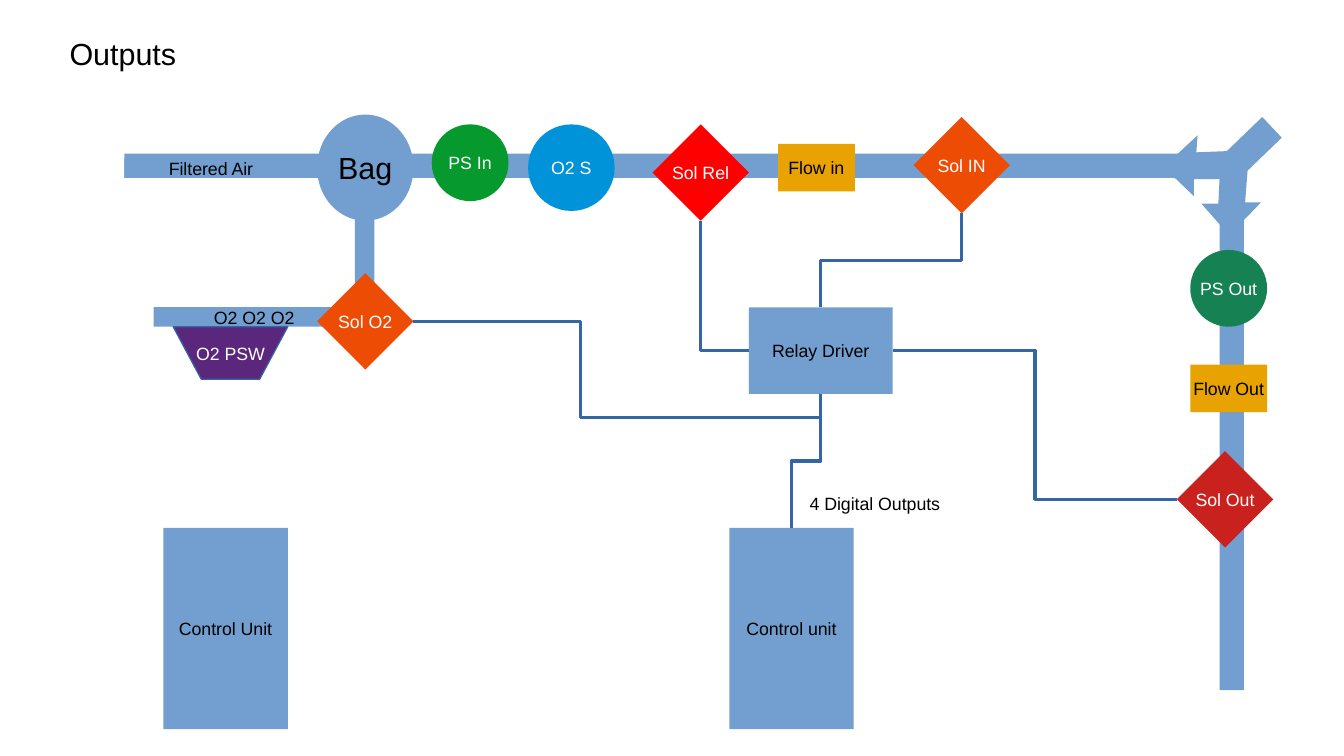
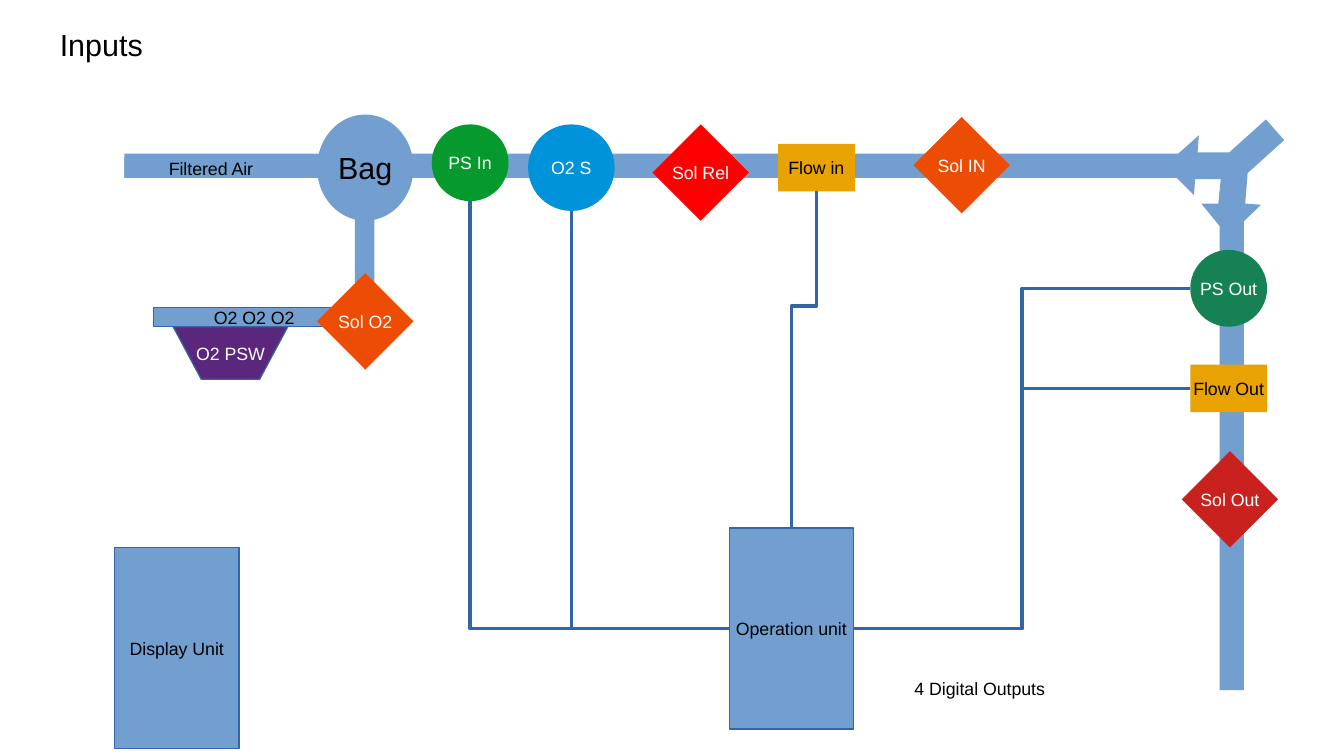
"""Build two slides that show the outputs and the inputs of a ventilator circuit."""
from lxml.etree import SubElement
from pptx import Presentation
from pptx.dml.color import RGBColor
from pptx.enum.shapes import MSO_CONNECTOR, MSO_SHAPE
from pptx.enum.text import MSO_ANCHOR, MSO_AUTO_SIZE, PP_ALIGN
from pptx.oxml.ns import qn
from pptx.util import Inches, Pt

BLUE, LINE, BLACK, WHITE = "729FCF", "3465A4", "000000", "FFFFFF"
ORANGE, AMBER, RED, PURPLE = "ED4C05", "E8A202", "C9211E", "5B277D"
RECTANGLE, DIAMOND, OVAL = MSO_SHAPE.RECTANGLE, MSO_SHAPE.DIAMOND, MSO_SHAPE.OVAL
TOP, LEFT, BOTTOM, RIGHT = range(4)
SITES = [(0.5, 0), (0, 0.5), (0.5, 1), (1, 0.5)]

PIPES = [(1.02, 1.26, 9.13, 0.2), (10, 1.57, 0.2, 4.09), (2.91, 1.77, 0.16, 0.67)]
PARTS = [
    ("O2 O2 O2", RECTANGLE, (1.26, 2.52, 1.65, 0.16), BLUE, BLACK),
    ("Filtered Air", RECTANGLE, (1.02, 1.3, 1.42, 0.16), BLUE, BLACK),
    ("Bag", OVAL, (2.6, 0.94, 0.79, 0.87), BLUE, BLACK),
    ("PS In", OVAL, (3.54, 1.02, 0.63, 0.63), "069A2E", WHITE),
    ("O2 S", OVAL, (4.33, 1.02, 0.71, 0.71), "0093D9", WHITE),
    ("Sol Rel", DIAMOND, (5.35, 1.02, 0.79, 0.79), "FF0000", WHITE),
    ("Flow in", RECTANGLE, (6.38, 1.18, 0.63, 0.39), AMBER, BLACK),
    ("Sol IN", DIAMOND, (7.49, 0.96, 0.79, 0.79), ORANGE, WHITE),
    ("PS Out", OVAL, (9.76, 2.05, 0.63, 0.63), "168253", WHITE),
    ("Flow Out", RECTANGLE, (9.76, 2.99, 0.63, 0.39), AMBER, BLACK),
    ("Sol O2", DIAMOND, (2.6, 2.24, 0.79, 0.79), ORANGE, WHITE),
]
TANK = [(1.42, 2.68), (2.36, 2.68), (2.13, 3.11), (1.65, 3.11)]

SLIDES = [
    {
        "title": ("Outputs", (0.47, 0.24, 2.2, 0.38)),
        "note": (6.54, 3.99, 1.73, 0.34),
        "outlined": [],
        "parts": [
            ("Sol Out", DIAMOND, (9.65, 3.7, 0.79, 0.79), RED, WHITE),
            ("Control unit", RECTANGLE, (5.98, 4.33, 1.02, 1.65), BLUE, BLACK),
            ("Control Unit", RECTANGLE, (1.34, 4.33, 1.02, 1.65), BLUE, BLACK),
            ("Relay Driver", RECTANGLE, (6.14, 2.52, 1.18, 0.71), BLUE, BLACK),
        ],
        "valve": [
            (9.79, 1.61), (9.79, 1.47), (10, 1.47), (9.99, 1.67), (9.85, 1.67),
            (10.08, 1.93), (10.34, 1.66), (10.21, 1.66), (10.23, 1.4), (10.51, 1.13),
            (10.35, 0.96), (10.06, 1.24), (9.81, 1.25), (9.82, 1.11), (9.54, 1.37),
        ],
        "wires": [
            ("Sol Rel", BOTTOM, "Relay Driver", LEFT, []),
            ("Sol IN", BOTTOM, "Relay Driver", TOP, [0.5]),
            ("Sol Out", LEFT, "Relay Driver", RIGHT, [0.5]),
            ("Sol O2", RIGHT, "Relay Driver", BOTTOM, [0.41, 1.33]),
            ("Relay Driver", BOTTOM, "Control unit", TOP, [0.5]),
        ],
    },
    {
        "title": ("Inputs", (0.39, 0.16, 2.44, 0.38)),
        "note": (7.4, 5.51, 1.73, 0.34),
        "outlined": ["Operation unit", "Display Unit", "O2 O2 O2"],
        "parts": [
            ("Sol Out", DIAMOND, (9.69, 3.7, 0.79, 0.79), RED, WHITE),
            ("Operation unit", RECTANGLE, (5.98, 4.33, 1.02, 1.65), BLUE, BLACK),
            ("Display Unit", RECTANGLE, (0.94, 4.49, 1.02, 1.65), BLUE, BLACK),
        ],
        "valve": [
            (9.79, 1.6), (9.8, 1.47), (10.01, 1.47), (9.99, 1.67), (9.85, 1.67),
            (10.07, 1.94), (10.34, 1.68), (10.21, 1.67), (10.23, 1.42), (10.53, 1.15),
            (10.38, 0.98), (10.08, 1.25), (9.82, 1.25), (9.83, 1.11), (9.55, 1.36),
        ],
        "wires": [
            ("PS In", BOTTOM, "Operation unit", LEFT, []),
            ("O2 S", BOTTOM, "Operation unit", LEFT, []),
            ("Flow in", BOTTOM, "Operation unit", TOP, [0.34]),
            ("PS Out", LEFT, "Operation unit", RIGHT, [0.5]),
            ("Flow Out", LEFT, "Operation unit", RIGHT, [0.5]),
        ],
    },
]


def style(shape, text="", fill=None, color=BLACK, size=10.5, outlined=False):
    """Fill and outline a shape, or leave it plain, and set its text."""
    text_frame = shape.text_frame
    text_frame.text = text
    text_frame.word_wrap = fill is None
    text_frame.auto_size = MSO_AUTO_SIZE.NONE
    text_frame.vertical_anchor = MSO_ANCHOR.MIDDLE if fill else MSO_ANCHOR.TOP
    paragraph = text_frame.paragraphs[0]
    paragraph.alignment = PP_ALIGN.CENTER if fill else PP_ALIGN.LEFT
    for run in paragraph.runs:
        run.font.name = "Arial"
        run.font.size = Pt(size)
        run.font.color.rgb = RGBColor.from_string(color)
    if fill:
        shape.shadow.inherit = False
        shape.fill.solid()
        shape.fill.fore_color.rgb = RGBColor.from_string(fill)
        shape.line.fill.background()
    if outlined:
        shape.line.color.rgb = RGBColor.from_string(LINE)
        shape.line.width = Pt(0)


def add_wire(slide, start, start_site, end, end_site, bends):
    """Join two shapes with an elbow connector that has the given bends."""
    (x1, y1), (x2, y2) = [
        (int(shape.left + shape.width * SITES[site][0]), int(shape.top + shape.height * SITES[site][1]))
        for shape, site in ((start, start_site), (end, end_site))
    ]
    wire = slide.shapes.add_connector(MSO_CONNECTOR.ELBOW, x1, y1, x2, y2)
    wire.begin_connect(start, start_site)
    wire.end_connect(end, end_site)
    if start.auto_shape_type == OVAL:
        wire._element.find(".//" + qn("a:stCxn")).set("idx", str(start_site * 2))

    width, height = abs(x2 - x1), abs(y2 - y1)
    if start_site == BOTTOM:
        width, height = height, width
        rotation, flip = (90, None) if x2 < x1 else (270, "flipH")
    else:
        rotation = 180 if x2 < x1 else 0
        flip = "flipV" if (x2 < x1) != (y2 < y1) else None
    wire.left, wire.top = (x1 + x2 - width) // 2, (y1 + y2 - height) // 2
    wire.width, wire.height = width, height
    properties = wire._element.spPr
    transform = properties.find(qn("a:xfrm"))
    for name in ("flipH", "flipV"):
        transform.attrib.pop(name, None)
    transform.set("rot", str(rotation * 60000))
    if flip:
        transform.set(flip, "1")

    geometry = properties.find(qn("a:prstGeom"))
    geometry.set("prst", f"bentConnector{len(bends) + 2}")
    adjustments = geometry.find(qn("a:avLst"))
    for number, bend in enumerate(bends, 1):
        SubElement(adjustments, qn("a:gd"), name=f"adj{number}", fmla=f"val {round(bend * 100000)}")
    wire.line.color.rgb = RGBColor.from_string(LINE)
    wire.line.width = Pt(0)
    SubElement(properties, qn("a:effectLst"))


presentation = Presentation()
presentation.slide_width = Inches(11.02)
presentation.slide_height = Inches(6.2)

for content in SLIDES:
    slide = presentation.slides.add_slide(presentation.slide_layouts[5])
    title_text, title_box = content["title"]
    title = slide.shapes.title
    title.left, title.top, title.width, title.height = map(Inches, title_box)
    style(title, title_text, size=18)

    for box in PIPES:
        style(slide.shapes.add_shape(RECTANGLE, *map(Inches, box)), fill=BLUE)

    parts = {}
    for name, kind, box, fill, color in PARTS + content["parts"]:
        parts[name] = slide.shapes.add_shape(kind, *map(Inches, box))
        size = 18 if name == "Bag" else 10.5
        style(parts[name], name, fill, color, size, name in content["outlined"])

    for points, text, fill in ((content["valve"], "", BLUE), (TANK, "O2 PSW", PURPLE)):
        corners = [(Inches(x), Inches(y)) for x, y in points]
        builder = slide.shapes.build_freeform(*corners[0])
        builder.add_line_segments(corners[1:], close=True)
        style(builder.convert_to_shape(), text, fill, WHITE, outlined=fill == PURPLE)

    for start, start_site, end, end_site, bends in content["wires"]:
        add_wire(slide, parts[start], start_site, parts[end], end_site, bends)

    note = slide.shapes.add_textbox(*map(Inches, content["note"]))
    style(note, "4 Digital Outputs")

presentation.save("out.pptx")
